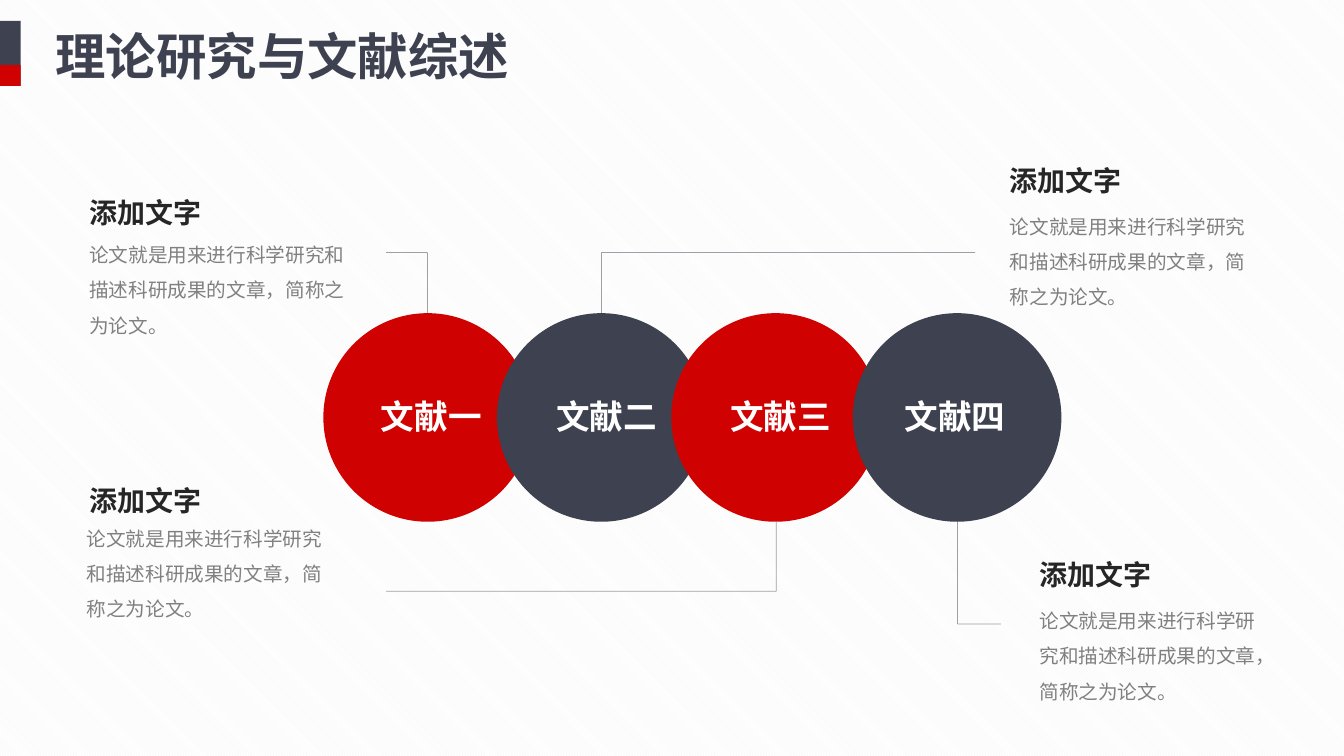
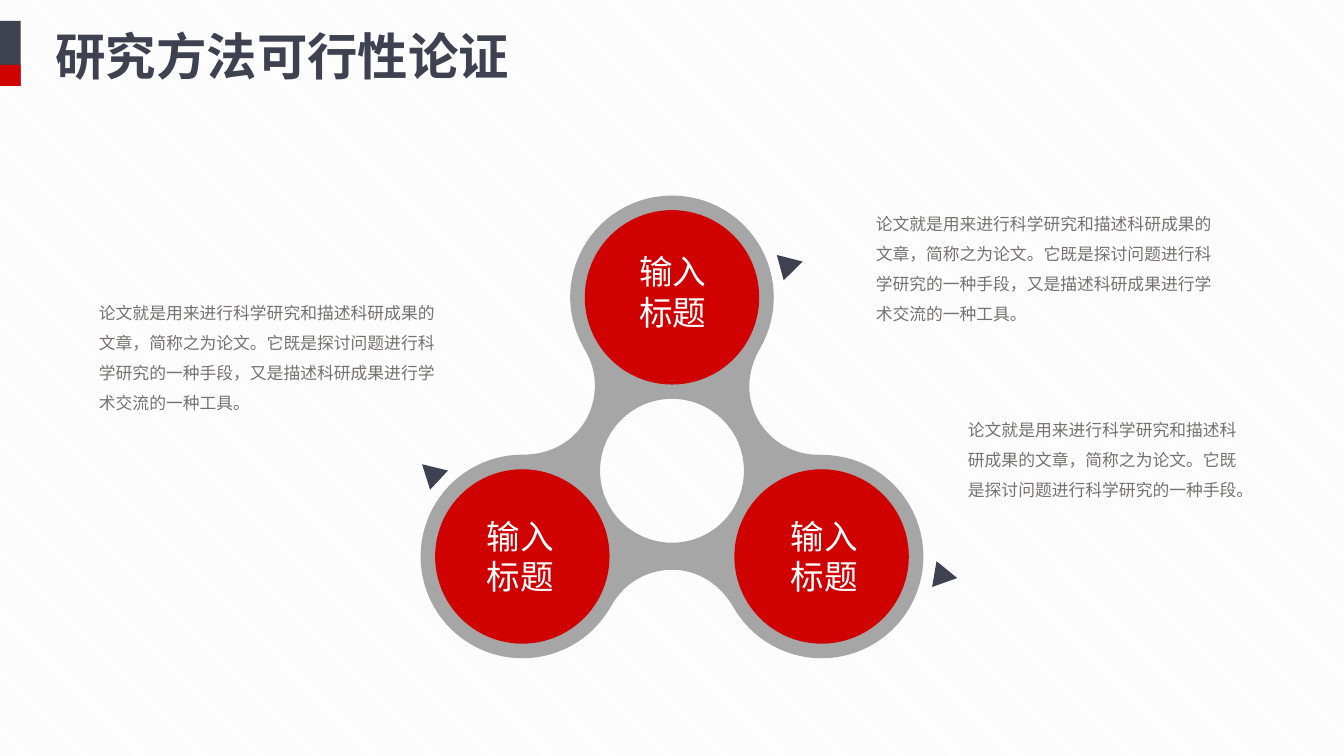
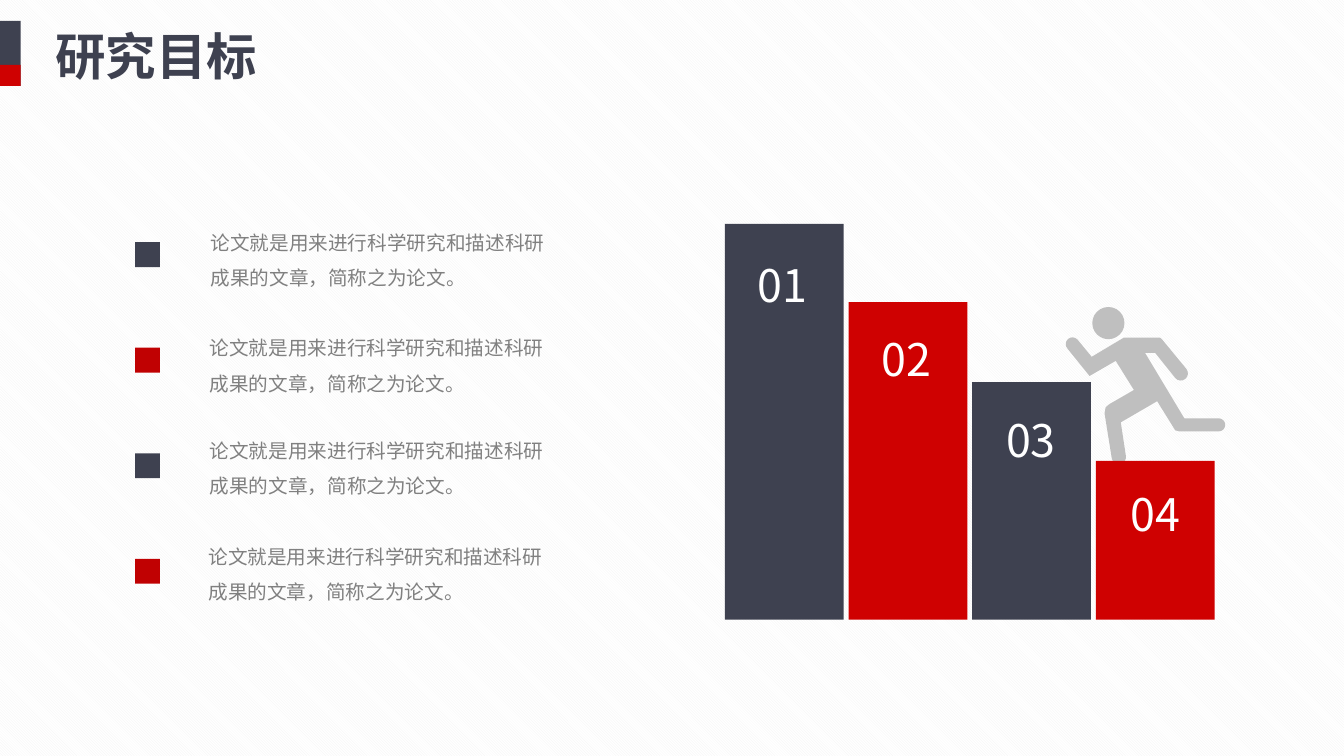
from math import atan2, cos, degrees, dist, radians, sin, tan

from lxml import etree
from pptx import Presentation
from pptx.dml.color import RGBColor
from pptx.enum.dml import MSO_PATTERN
from pptx.enum.shapes import MSO_CONNECTOR, MSO_SHAPE
from pptx.enum.text import MSO_ANCHOR, MSO_AUTO_SIZE, PP_ALIGN
from pptx.oxml.ns import qn
from pptx.util import Pt

RECT, OVAL, TRIANGLE = MSO_SHAPE.RECTANGLE, MSO_SHAPE.OVAL, MSO_SHAPE.ISOSCELES_TRIANGLE
STRAIGHT = MSO_CONNECTOR.STRAIGHT
LEFT, CENTER = PP_ALIGN.LEFT, PP_ALIGN.CENTER
TOP, MIDDLE = MSO_ANCHOR.TOP, MSO_ANCHOR.MIDDLE
NO_FIT = MSO_AUTO_SIZE.NONE

color = RGBColor.from_string
SLATE, RED, MARKER_RED, WHITE = "3E4150", "CF0101", "C00102", "FFFFFF"
HUB_GRAY, RUNNER_GRAY, LEADER = "A6A6A6", "BFBFBF", "414455"
FONT = "Noto Sans CJK SC"

# Each style: text frame, paragraph and font attributes, then the text colour
WRAPPED = {"word_wrap": True, "vertical_anchor": TOP, "auto_size": NO_FIT}
UNWRAPPED = {**WRAPPED, "word_wrap": False}
NO_MARGINS = {f"margin_{side}": 0 for side in ("left", "top", "right", "bottom")}
TITLE = ({**UNWRAPPED, "vertical_anchor": MIDDLE}, {"alignment": LEFT},
         {"size": Pt(36), "bold": True}, SLATE)
HEADING = (WRAPPED, {"line_spacing": 1.4}, {"size": Pt(20), "bold": True}, "262626")
BODY = (WRAPPED, {"line_spacing": 1.5}, {"size": Pt(14)}, "808080")
NOTE = (WRAPPED, {"line_spacing": 1.5}, {"size": Pt(12)}, "767171")
SOURCE_LABEL = (WRAPPED, {}, {"size": Pt(24), "bold": True}, WHITE)
LOBE_LABEL = ({**WRAPPED, **NO_MARGINS}, {"alignment": CENTER}, {"size": Pt(24)}, WHITE)
STEP_LABEL = (UNWRAPPED, {}, {"size": Pt(32)}, WHITE)

SHORT_TEXT = "论文就是用来进行科学研究和描述科研成果的文章，简称之为论文。"
MEDIUM_TEXT = SHORT_TEXT + "它既是探讨问题进行科学研究的一种手段。"
LONG_TEXT = MEDIUM_TEXT[:-1] + "，又是描述科研成果进行学术交流的一种工具。"


def write(shape, text, style):
    frame_format, paragraph_format, font_format, text_color = style
    frame = shape.text_frame
    paragraph = frame.paragraphs[0]
    run = paragraph.add_run()
    run.text = text
    targets = ((frame, frame_format), (paragraph, paragraph_format),
               (run.font, {"name": FONT, **font_format}))
    for target, values in targets:
        for attribute, value in values.items():
            setattr(target, attribute, value)
    etree.SubElement(run.font._element, qn("a:ea"), typeface=FONT)
    run.font.color.rgb = color(text_color)


def arc(center, radius, start, end, pieces):
    """Return Bezier segments (two control points and an end) along a circle."""
    x, y = center
    turn = radians(end - start) / pieces
    pull = 4 / 3 * tan(turn / 4)
    segments = []
    for i in range(pieces):
        a = radians(start) + turn * i
        b = a + turn
        offsets = ((cos(a) - pull * sin(a), sin(a) + pull * cos(a)),
                   (cos(b) + pull * sin(b), sin(b) - pull * cos(b)),
                   (cos(b), sin(b)))
        segments.append([(x + radius * dx, y + radius * dy) for dx, dy in offsets])
    return segments


prs = Presentation()
prs.slide_width, prs.slide_height = Pt(960), Pt(540)
background = prs.slide_master.background.fill
background.patterned()
background.pattern = MSO_PATTERN.LIGHT_DOWNWARD_DIAGONAL
background.fore_color.rgb = color("F2F2F2")
background.back_color.rgb = color(WHITE)

painted = []  # (shape, fill colour)
slides = []
for title in ("理论研究与文献综述", "研究方法可行性论证", "研究目标"):
    slide = prs.slides.add_slide(prs.slide_layouts[5])
    slides.append(slide)
    for top, height, fill in ((15, 46.5, SLATE), (46.3, 15.1, RED)):
        band = slide.shapes.add_shape(RECT, 0, Pt(top), Pt(14.8), Pt(height))
        painted.append((band, fill))
    heading = slide.shapes.title
    heading.left, heading.top = Pt(32.4), Pt(13.7)
    heading.width, heading.height = Pt(36 * len(title) + 17), Pt(51)
    write(heading, title, TITLE)

literature, methods, goals = (slide.shapes for slide in slides)

# Literature: four overlapping circles with leader lines
leaders = (
    ((305.3, 224), (305.3, 180.4), (275.8, 180.4)),
    ((429.6, 224), (429.6, 180.4), (696.6, 180.4)),
    ((554.4, 373), (554.4, 422.4), (275.8, 422.4)),
    ((684, 372), (684, 445.7), (715, 445.7)),
)
for leader in leaders:
    for start, end in zip(leader, leader[1:]):
        line = literature.add_connector(STRAIGHT, *map(Pt, start + end))
        line.line.width = Pt(0.5)
        line.line.color.rgb = color(LEADER)
        tint = line.line._ln.find(".//" + qn("a:srgbClr"))
        etree.SubElement(tint, qn("a:alpha"), val="50000")
        etree.SubElement(line._element.spPr, qn("a:effectLst"))

sources = (("一", 231, 265), ("二", 355, 390.3), ("三", 479.5, 514.6), ("四", 609.2, 639))
for i, (numeral, left, label_left) in enumerate(sources):
    circle = literature.add_shape(OVAL, Pt(left), Pt(223.7), Pt(149), Pt(149))
    painted.append((circle, (RED, SLATE)[i % 2]))
    label = literature.add_textbox(Pt(label_left), Pt(279.4), Pt(96.5), Pt(44.6))
    write(label, "文献" + numeral, SOURCE_LABEL)

# Heading left, top, width; body left, top, width
summaries = (
    (714.2, 103.7, 219.6, 714.2, 141.4, 188.6),
    (735.4, 385.2, 219.6, 735.4, 423, 180.7),
    (56.9, 126.7, 106.6, 56.6, 161.7, 199.4),
    (56.9, 332.6, 219.6, 54.7, 364.3, 195.1),
)
for *heading_box, body_left, body_top, body_width in summaries:
    write(literature.add_textbox(*map(Pt, heading_box), Pt(31)), "添加文字", HEADING)
    body = literature.add_textbox(Pt(body_left), Pt(body_top), Pt(body_width), Pt(83.5))
    write(body, SHORT_TEXT, BODY)

# Methods: three lobes joined to a ring by tangent notches
pointers = ((298.2, 329, 313), (556, 180.7, 74.9), (666.2, 403.2, 99.9))
for left, top, rotation in pointers:
    pointer = methods.add_shape(TRIANGLE, Pt(left), Pt(top), Pt(18.7), Pt(16.6))
    pointer.rotation = rotation
    painted.append((pointer, SLATE))

hub_x, hub_y = 480, 335.8
hub, lobe_centers = [], []
for angle in (-90, 30, 150):
    lobe, notch = [
        (hub_x + reach * cos(radians(a)), hub_y + reach * sin(radians(a)))
        for reach, a in ((123.4, angle), (120.5, angle + 60))
    ]
    lobe_centers.append(lobe)
    hub += arc(lobe, 72.7, angle - 120, angle + 120, 8)
    hub += arc(notch, 49.3, angle + 300, angle + 180, 2)
hole = arc((hub_x, hub_y + 0.5), 51.4, 360, 0, 4)

# The runner's edges; a round hand or foot joins each edge to the next
runner_edges = (
    ((762.5, 249), (778.3, 268.6), (797, 257.8), (810, 278.6), (792.5, 288.7),
     (789.8, 290.9), (789, 295.2), (794.2, 327.6)),
    ((804.2, 325.4), (800.6, 301.7), (826.6, 286.6), (839.5, 307.4), (842.4, 308.2),
     (870.5, 308.2)),
    ((870.5, 298.8), (846, 298.8), (817.9, 252), (825.1, 252), (839.5, 270)),
    ((847.4, 263.5), (830.2, 242.6), (828.7, 241.2), (802.8, 241.2), (779.8, 254.9),
     (769.7, 242.6)),
)
runner = []
for edge, following in zip(runner_edges, runner_edges[1:] + runner_edges[:1]):
    runner += [[point] for point in edge[1:]]
    (x1, y1), (x2, y2) = edge[-1], following[0]
    turn = degrees(atan2(y1 - y2, x1 - x2))
    middle = ((x1 + x2) / 2, (y1 + y2) / 2)
    runner += arc(middle, dist(edge[-1], following[0]) / 2, turn, turn - 180, 2)

# A segment of one point is a straight line, one of three points a curve
for shapes, contours, fill in ((methods, (hub, hole), HUB_GRAY), (goals, (runner,), RUNNER_GRAY)):
    builder = None
    for contour in contours:
        start = [Pt(v) for v in contour[-1][-1]]
        if builder:
            builder.move_to(*start)
        else:
            builder = shapes.build_freeform(*start, scale=1.0)
        points = [(Pt(x), Pt(y)) for segment in contour for x, y in segment]
        builder.add_line_segments(points, close=True)
    figure = builder.convert_to_shape()
    nodes = iter(list(figure._element.iter(qn("a:lnTo"))))
    for segment in (segment for contour in contours for segment in contour):
        first, *others = [next(nodes) for _ in segment]
        if others:
            first.tag = qn("a:cubicBezTo")
        for node in others:
            first.append(node[0])
            node.getparent().remove(node)
    painted.append((figure, fill))

for x, y in lobe_centers:
    disc = methods.add_shape(OVAL, Pt(x - 62.3), Pt(y - 62.3), Pt(124.6), Pt(124.6))
    painted.append((disc, RED))
for left, top in ((446.7, 179.5), (337.7, 368.6), (555.1, 368.6)):
    write(methods.add_textbox(Pt(left), Pt(top), Pt(67.7), Pt(58.3)), "输入标题", LOBE_LABEL)

notes = (
    (618.5, 141.6, 256.3, 94.3, LONG_TEXT),
    (63.6, 205.2, 256.3, 94.3, LONG_TEXT),
    (684.3, 288.7, 212.4, 72.7, MEDIUM_TEXT),
)
for *box, text in notes:
    write(methods.add_textbox(*map(Pt, box)), text, NOTE)

# Goals: marked list, runner's head and descending steps
for i, (left, top) in enumerate(((143.3, 152.9), (142.6, 228.2), (142.6, 301.3), (141.8, 377.3))):
    marker = goals.add_shape(RECT, Pt(96.5), Pt(173 + 75.4 * i), Pt(17.8), Pt(17.8))
    painted.append((marker, (SLATE, MARKER_RED)[i % 2]))
    write(goals.add_textbox(Pt(left), Pt(top), Pt(258.5), Pt(58.3)), SHORT_TEXT, BODY)

painted.append((goals.add_shape(OVAL, Pt(780.2), Pt(219.3), Pt(23), Pt(23)), RUNNER_GRAY))

for i, (top, label_top) in enumerate(((160, 180.7), (215.9, 233.3), (273, 291.3), (329.2, 344.2))):
    step = goals.add_shape(RECT, Pt(517.8 + 88.35 * i), Pt(top), Pt(84.8), Pt(442.6 - top))
    painted.append((step, (SLATE, RED)[i % 2]))
    label = goals.add_textbox(Pt(534.2 + 88.7 * i), Pt(label_top), Pt(52.6), Pt(46))
    write(label, f"{i + 1:02}", STEP_LABEL)

for shape, fill in painted:
    shape.shadow.inherit = False
    shape.fill.solid()
    shape.fill.fore_color.rgb = color(fill)
    shape.line.fill.background()

prs.save("out.pptx")
